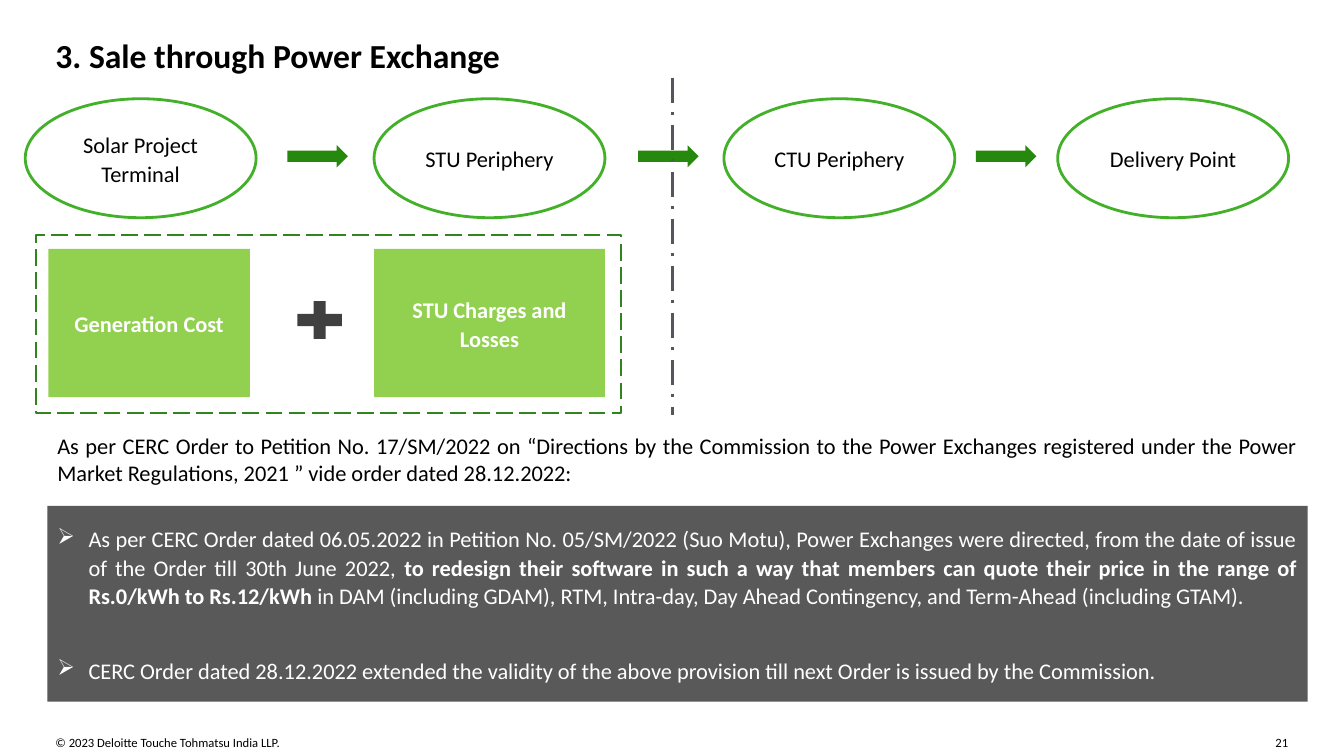
"""Build the slide on selling solar power through a power exchange."""
from dataclasses import dataclass

import pptx
import pptx.dml.color
import pptx.enum.dml
import pptx.enum.shapes
import pptx.enum.text
import pptx.oxml.xmlchemy
import pptx.util
from lxml import etree
from pptx.oxml import ns

RGBColor = pptx.dml.color.RGBColor
SHAPE = pptx.enum.shapes.MSO_SHAPE
DASH = pptx.enum.dml.MSO_LINE
ALIGN = pptx.enum.text.PP_ALIGN
ANCHOR = pptx.enum.text.MSO_ANCHOR

PX = 9144
FONT = "Calibri"
BLACK = RGBColor(0x00, 0x00, 0x00)
WHITE = RGBColor(0xFF, 0xFF, 0xFF)
OUTLINE_GREEN = RGBColor(0x43, 0xB0, 0x2A)
ARROW_GREEN = RGBColor(0x26, 0x89, 0x0D)
COST_GREEN = RGBColor(0x92, 0xD0, 0x50)
FRAME_GREEN = RGBColor(0x32, 0x84, 0x20)
PLUS_GREY = RGBColor(0x40, 0x40, 0x40)
PANEL_GREY = RGBColor(0x59, 0x59, 0x59)
DIVIDER_GREY = RGBColor(0x53, 0x56, 0x5A)


@dataclass(frozen=True)
class Box:
    """Position and size in px."""

    x: int
    y: int
    w: int
    h: int

    def emu(self) -> tuple[int, ...]:
        """Return the four lengths in EMU."""
        return tuple(v * PX for v in (self.x, self.y, self.w, self.h))


@dataclass(frozen=True)
class Stage:
    """One point on the delivery route."""

    x: int
    name: str


@dataclass(frozen=True)
class Cost:
    """One cost component below the route."""

    x: int
    w: int
    name: str


STAGES = [
    Stage(25, "Solar Project Terminal"),
    Stage(371, "STU Periphery"),
    Stage(718, "CTU Periphery"),
    Stage(1049, "Delivery Point"),
]
ARROW_XS = [285, 633, 968]
COSTS = [Cost(48, 200, "Generation Cost"), Cost(371, 229, "STU Charges and Losses")]
INTRO = (
    "As per CERC Order to Petition No. 17/SM/2022 on “Directions by the Commission to the "
    "Power Exchanges registered under the Power Market Regulations, 2021 ” vide order dated "
    "28.12.2022:"
)
ORDERS = (
    "As per CERC Order dated 06.05.2022 in Petition No. 05/SM/2022 (Suo Motu), Power Exchanges "
    "were directed, from the date of issue of the Order till 30th June 2022, **to redesign their "
    "software in such a way that members can quote their price in the range of Rs.0/kWh to "
    "Rs.12/kWh** in DAM (including GDAM), RTM, Intra-day, Day Ahead Contingency, and Term-Ahead "
    "(including GTAM).\n"
    "CERC Order dated 28.12.2022 extended the validity of the above provision till next Order "
    "is issued by the Commission."
)


def write(s, text: str, *, size: int = 16, color: RGBColor = BLACK, bold: bool = False,
          align=ALIGN.LEFT, anchor=ANCHOR.TOP, inset: tuple[int, int] = (10, 10),
          spacing: float = 1.0, wrap: bool = True, bullet: str = "", gap: int = 0,
          after: int = 0) -> None:
    """Fill a shape with text; newlines split paragraphs and ** toggles bold."""
    tf = s.text_frame
    tf.word_wrap = wrap
    tf.vertical_anchor = anchor
    tf.margin_left = tf.margin_right = inset[0] * PX
    tf.margin_top = tf.margin_bottom = inset[1] * PX
    for i, line in enumerate(text.split("\n")):
        p = tf.add_paragraph() if i else tf.paragraphs[0]
        p.alignment = align
        p.line_spacing = spacing
        p.space_before = pptx.util.Pt(gap if i else 0)
        p.space_after = pptx.util.Pt(after)
        if bullet:
            pPr = p._p.get_or_add_pPr()
            pPr.set("marL", str(31 * PX))
            pPr.set("indent", str(-31 * PX))
            etree.SubElement(pPr, ns.qn("a:buChar")).set("char", bullet)
        for j, part in enumerate(line.split("**")):
            r = p.add_run()
            r.text = part
            r.font.name = FONT
            r.font.size = pptx.util.Pt(size)
            r.font.bold = bold or j % 2 == 1
            r.font.color.rgb = color


def add_text(slide, box: Box, text: str, **fmt) -> None:
    """Add a text box."""
    write(slide.shapes.add_textbox(*box.emu()), text, **fmt)


def add_shape(slide, kind, box: Box, *, fill: RGBColor | None = None,
              line: RGBColor | None = None, width: float = 1, dash=None):
    """Add a flat preset shape with optional fill and outline."""
    s = slide.shapes.add_shape(kind, *box.emu())
    s.shadow.inherit = False
    if fill is None:
        s.fill.background()
    else:
        s.fill.solid()
        s.fill.fore_color.rgb = fill
    if line is None:
        s.line.fill.background()
    else:
        s.line.color.rgb = line
        s.line.width = pptx.util.Pt(width)
        s.line.dash_style = dash
    return s


def add_divider(slide, x: int, top: int, bottom: int) -> None:
    """Add the dash-dot line between the state and central networks."""
    s = slide.shapes.add_connector(
        pptx.enum.shapes.MSO_CONNECTOR.STRAIGHT, x * PX, top * PX, x * PX, bottom * PX)
    s.line.color.rgb = DIVIDER_GREY
    s.line.width = pptx.util.Pt(2.25)
    s.line.dash_style = DASH.LONG_DASH_DOT
    etree.SubElement(s._element.spPr, ns.qn("a:effectLst"))


def main() -> None:
    """Draw the slide and save it."""
    prs = pptx.Presentation()
    prs.slide_width, prs.slide_height = 1333 * PX, 750 * PX
    slide = prs.slides.add_slide(prs.slide_layouts[6])
    centred = dict(align=ALIGN.CENTER, anchor=ANCHOR.MIDDLE, spacing=1.06)

    add_text(slide, Box(55, 729, 586, 15), "© 2023 Deloitte Touche Tohmatsu India LLP.",
             size=9, inset=(0, 0))
    add_text(slide, Box(1265, 729, 15, 15), "21", size=9, inset=(0, 0), wrap=False)
    add_text(slide, Box(55, 35, 1224, 37), "3. Sale through Power Exchange",
             size=24, bold=True, inset=(0, 0))

    for stage in STAGES:
        s = add_shape(slide, SHAPE.OVAL, Box(stage.x, 98, 229, 118),
                      fill=WHITE, line=OUTLINE_GREEN, width=2)
        write(s, stage.name, **centred)
    for x in ARROW_XS:
        add_shape(slide, SHAPE.RIGHT_ARROW, Box(x, 144, 60, 22), fill=ARROW_GREEN)
    for cost in COSTS:
        s = add_shape(slide, SHAPE.RECTANGLE, Box(cost.x, 247, cost.w, 147), fill=COST_GREEN)
        write(s, cost.name, color=WHITE, bold=True, **centred)
    add_shape(slide, SHAPE.MATH_PLUS, Box(287, 292, 60, 51), fill=PLUS_GREY)

    add_text(slide, Box(47, 424, 1250, 64), INTRO, align=ALIGN.JUSTIFY, inset=(10, 5))
    s = add_shape(slide, SHAPE.RECTANGLE, Box(47, 502, 1250, 194), fill=PANEL_GREY)
    write(s, ORDERS, color=WHITE, align=ALIGN.JUSTIFY, anchor=ANCHOR.MIDDLE,
          spacing=1.06, bullet="➢", gap=27, after=6)

    add_divider(slide, 667, 77, 412)
    add_shape(slide, SHAPE.RECTANGLE, Box(36, 233, 580, 177),
              line=FRAME_GREEN, width=1.5, dash=DASH.LONG_DASH)
    prs.save("out.pptx")


if __name__ == "__main__":
    main()
